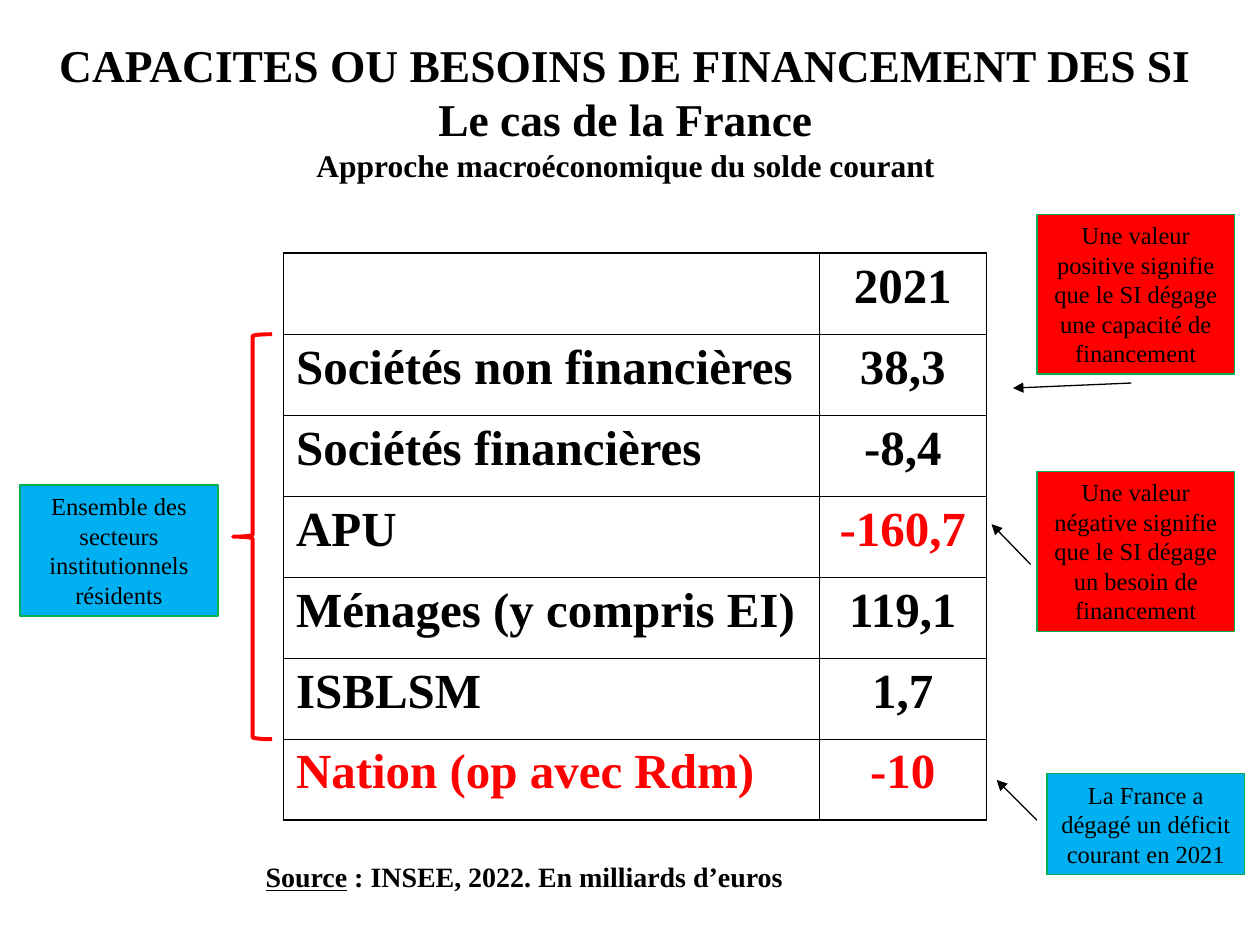
import dataclasses

import pptx
import pptx.dml.color
import pptx.enum.shapes
import pptx.enum.text
import pptx.oxml.ns
import pptx.util
from lxml import etree

ALIGN = pptx.enum.text.PP_ALIGN
ANCHOR = pptx.enum.text.MSO_ANCHOR
SHAPE = pptx.enum.shapes.MSO_SHAPE
qn = pptx.oxml.ns.qn


@dataclasses.dataclass(frozen=True)
class Theme:
    font: str = "Times New Roman"
    black: str = "000000"
    red: str = "FF0000"
    blue: str = "00B0F0"
    green: str = "00B050"
    title: int = 26
    subtitle: int = 18
    figure: int = 28
    note: int = 14
    source: int = 16
    thin: float = 0.45
    frame: float = 1.08
    outline: float = 0.75
    brace: float = 2.25


THEME = Theme()
GRID_UNIT = 0.1
TABLE_LEFT, TABLE_TOP = 22.5, 20.1
COLUMN_SPANS = (42.5, 13.3)
ROW_SPAN = 45 / 7
NOTE_SPAN = 15.7

BALANCES = [
    ("", "2021", THEME.black, THEME.black),
    ("Sociétés non financières", "38,3", THEME.black, THEME.black),
    ("Sociétés financières", "-8,4", THEME.black, THEME.black),
    ("APU", "-160,7", THEME.black, THEME.red),
    ("Ménages (y compris EI)", "119,1", THEME.black, THEME.black),
    ("ISBLSM", "1,7", THEME.black, THEME.black),
    ("Nation (op avec Rdm)", "-10", THEME.red, THEME.red),
]

NOTES = [
    (83.1, 61.4, 8, THEME.blue, "La France a dégagé un déficit courant en 2021"),
    (1.6, 38.5, 10.4, THEME.blue, "Ensemble des secteurs institutionnels résidents"),
    (82.3, 17, 12.7, THEME.red,
     "Une valeur positive signifie que le SI dégage une capacité de financement"),
    (82.3, 37.4, 12.7, THEME.red,
     "Une valeur négative signifie que le SI dégage un besoin de financement"),
]

ARROWS = [
    (82.3, 65.1, 79.1, 61.9),
    (89.8, 30.4, 80.4, 30.8),
    (81.8, 44.8, 78.7, 41.6),
]


def grid(*spans):
    return [pptx.util.Inches(span * GRID_UNIT) for span in spans]


def rgb(code):
    return pptx.dml.color.RGBColor.from_string(code)


def add_run(paragraph, text, size, color=THEME.black, bold=True, underline=False):
    run = paragraph.add_run()
    run.text = text
    run.font.name = THEME.font
    run.font.size = pptx.util.Pt(size)
    run.font.bold = bold
    run.font.underline = underline
    run.font.color.rgb = rgb(color)


def set_line(line, color, width):
    line.color.rgb = rgb(color)
    line.width = pptx.util.Pt(width)


def write_title(slide):
    title = slide.shapes.title
    title.left, title.top, title.width, title.height = grid(2, 2.5, 95.3, 12.5)
    frame = title.text_frame
    frame.word_wrap = True
    frame.auto_size = pptx.enum.text.MSO_AUTO_SIZE.NONE
    frame.vertical_anchor = ANCHOR.MIDDLE
    heading = frame.paragraphs[0]
    heading.alignment = ALIGN.CENTER
    for text in ("CAPACITES OU BESOINS DE FINANCEMENT DES SI", "Le cas de la France"):
        add_run(heading, text, THEME.title)
        heading.add_line_break()
    add_run(heading, "Approche macroéconomique du solde courant", THEME.subtitle)


def set_borders(cell, widths):
    properties = cell._tc.get_or_add_tcPr()
    for position, (side, width) in enumerate(widths.items()):
        border = etree.Element(qn(f"a:{side}"), w=str(pptx.util.Pt(width)))
        fill = etree.SubElement(border, qn("a:solidFill"))
        etree.SubElement(fill, qn("a:srgbClr"), val=THEME.black)
        properties.insert(position, border)


def add_balance_table(slide):
    rows, columns = len(BALANCES), len(COLUMN_SPANS)
    place = grid(TABLE_LEFT, TABLE_TOP, sum(COLUMN_SPANS), ROW_SPAN * rows)
    table = slide.shapes.add_table(rows, columns, *place).table
    table.first_row = table.horz_banding = False
    for column, width in zip(table.columns, grid(*COLUMN_SPANS)):
        column.width = width
    for r, (sector, balance, sector_color, balance_color) in enumerate(BALANCES):
        table.rows[r].height = grid(ROW_SPAN)[0]
        contents = ((sector, sector_color, ALIGN.LEFT), (balance, balance_color, ALIGN.CENTER))
        for c, (text, color, alignment) in enumerate(contents):
            cell = table.cell(r, c)
            cell.fill.background()
            cell.vertical_anchor = ANCHOR.TOP
            paragraph = cell.text_frame.paragraphs[0]
            paragraph.alignment = alignment
            if text:
                add_run(paragraph, text, THEME.figure, color)
            on_edge = {"lnL": c == 0, "lnR": c == columns - 1,
                       "lnT": r == 0, "lnB": r == rows - 1}
            set_borders(cell, {side: THEME.frame if edge else THEME.thin
                               for side, edge in on_edge.items()})


def add_source(slide):
    frame = slide.shapes.add_textbox(*grid(20.1, 67.7, 45, 3.7)).text_frame
    frame.word_wrap = True
    paragraph = frame.paragraphs[0]
    add_run(paragraph, "Source", THEME.source, underline=True)
    add_run(paragraph, " : INSEE, 2022. En milliards d’euros", THEME.source)


def add_note(slide, left, top, height, color, text):
    note = slide.shapes.add_shape(SHAPE.RECTANGLE, *grid(left, top, NOTE_SPAN, height))
    note.shadow.inherit = False
    note.fill.solid()
    note.fill.fore_color.rgb = rgb(color)
    set_line(note.line, THEME.green, THEME.outline)
    frame = note.text_frame
    frame.word_wrap = True
    frame.vertical_anchor = ANCHOR.TOP
    paragraph = frame.paragraphs[0]
    paragraph.alignment = ALIGN.CENTER
    add_run(paragraph, text, THEME.note, bold=False)


def add_arrow(slide, *ends):
    arrow = slide.shapes.add_connector(pptx.enum.shapes.MSO_CONNECTOR.STRAIGHT, *grid(*ends))
    set_line(arrow.line, THEME.black, THEME.outline)
    etree.SubElement(arrow.line._get_or_add_ln(), qn("a:tailEnd"), type="triangle")
    etree.SubElement(arrow._element.spPr, qn("a:effectLst"))


def add_sector_brace(slide):
    sectors = len(BALANCES) - 2
    place = grid(18.5, TABLE_TOP + ROW_SPAN, 3.1, ROW_SPAN * sectors)
    brace = slide.shapes.add_shape(SHAPE.LEFT_BRACE, *place)
    brace.adjustments[0] = 0.05
    brace.shadow.inherit = False
    brace.fill.background()
    set_line(brace.line, THEME.red, THEME.brace)


def main():
    deck = pptx.Presentation()
    deck.slide_width, deck.slide_height = grid(100, 75)
    slide = deck.slides.add_slide(deck.slide_layouts[5])
    write_title(slide)
    add_balance_table(slide)
    add_source(slide)
    add_sector_brace(slide)
    for note in NOTES:
        add_note(slide, *note)
    for ends in ARROWS:
        add_arrow(slide, *ends)
    deck.save("out.pptx")


if __name__ == "__main__":
    main()
